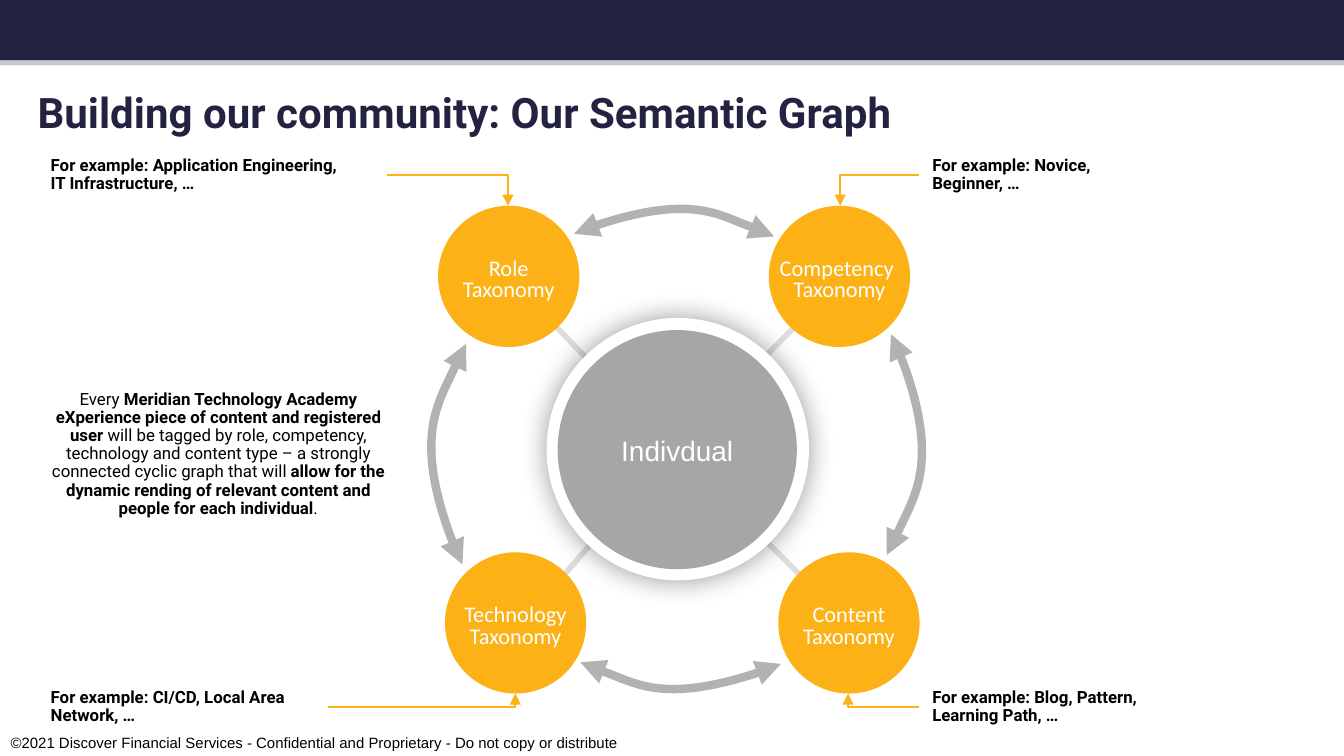
from lxml import etree
from pptx import Presentation
from pptx import util as u
from pptx.dml.color import RGBColor
from pptx.enum import shapes, text
from pptx.oxml import parse_xml
from pptx.oxml.ns import nsdecls, qn

Cm, Pt = u.Cm, u.Pt
COLORS = {
    "navy": "232241", "stripe": "C7C8CF", "amber": "FCB116", "hub": "A6A6A6",
    "spoke": "DDDDDD", "arc": "B2B2B2", "white": "FFFFFF", "black": "000000",
}
CIRCLE = 2.67  # diameter of a taxonomy circle
CALLOUT_HEIGHT = 0.94
HUB_CENTER = (12.81, 8.49)

# Label, left and top of each taxonomy circle
TAXONOMIES = [
    ("Competency \vTaxonomy", 14.53, 3.89),
    ("Technology\nTaxonomy", 8.41, 10.44),
    ("Content\nTaxonomy", 14.71, 10.44),
    ("Role\nTaxonomy", 8.28, 3.89),
]
SPOKE_ENDS = [(9.58, 5.21), (15.98, 5.21), (15.98, 11.73), (9.91, 11.73)]
# Start, second control point and end; the first control point is the start
ARCS = [
    ((10.97, 12.52), (12.73, 13.44), (14.76, 12.55)),
    ((8.81, 6.5), (7.62, 8.41), (8.74, 10.67)),
    ((14.63, 4.47), (12.88, 3.53), (10.85, 4.42)),
    ((16.76, 10.49), (17.96, 8.56), (16.84, 6.32)),
]
# Text, left, top, width, start side and end of the pointer
CALLOUTS = [
    ("For example: Application Engineering,\vIT Infrastructure, …",
     0.71, 2.84, 6.6, "right", (9.6, 3.89)),
    ("For example: CI/CD, Local Area\vNetwork, …",
     0.71, 12.9, 5.49, "right", (9.74, 13.11)),
    ("For example: Blog, Pattern,\vLearning Path, …",
     17.37, 12.9, 4.9, "left", (16.03, 13.11)),
    ("For example: Novice,\vBeginner, …",
     17.37, 2.84, 3.84, "left", (15.88, 3.89)),
]
MESSAGE = [
    ("Every ", False),
    ("Meridian Technology Academy eXperience piece of content and registered user ", True),
    ("will be tagged by role, competency, technology and content type – a strongly "
     "connected cyclic graph that will ", False),
    ("allow for the dynamic rending of relevant content and people for each individual", True),
    (".", False),
]
FOOTER = ("©2021 Discover Financial Services - Confidential and Proprietary"
          " - Do not copy or distribute")


def rgb(name):
    return RGBColor.from_string(COLORS[name])


def style_text(tf, font, size, color, bold=None, align=None, spacing=None):
    for p in tf.paragraphs:
        p.font.name, p.font.size, p.font.bold = font, Pt(size), bold
        p.font.color.rgb = rgb(color)
        p.alignment = align
        p.line_spacing = spacing


def add_shape(s, kind, left, top, width, height, fill):
    sp = s.shapes.add_shape(kind, Cm(left), Cm(top), Cm(width), Cm(height))
    sp.shadow.inherit = False
    sp.fill.solid()
    sp.fill.fore_color.rgb = rgb(fill)
    sp.line.fill.background()
    return sp


def add_circle(s, left, top, size, fill, label="", font="Calibri", points=12):
    sp = add_shape(s, shapes.MSO_SHAPE.OVAL, left, top, size, size, fill)
    if label:
        tf = sp.text_frame
        tf.word_wrap = False
        tf.vertical_anchor = text.MSO_ANCHOR.MIDDLE
        tf.margin_left = tf.margin_right = tf.margin_bottom = 0
        tf.margin_top = Cm(0.15)
        tf.text = label
        style_text(tf, font, points, "white", align=text.PP_ALIGN.CENTER, spacing=0.8)
    return sp


def add_text(s, left, top, width, height, content=""):
    tf = s.shapes.add_textbox(Cm(left), Cm(top), Cm(width), Cm(height)).text_frame
    tf.word_wrap = True
    tf.text = content
    return tf


def set_line(sp, color, width, ends=()):
    sp.line.color.rgb = rgb(color)
    sp.line.width = Pt(width)
    ln = sp.line._get_or_add_ln()
    for end in ends:
        etree.SubElement(ln, qn(f"a:{end}"), type="triangle")


def add_connector(s, start, end, color, width, bent=False):
    kind = shapes.MSO_CONNECTOR.ELBOW if bent else shapes.MSO_CONNECTOR.STRAIGHT
    c = s.shapes.add_connector(kind, *(Cm(v) for v in start + end))
    set_line(c, color, width, ["tailEnd"] if bent else [])
    spPr = c._element.spPr
    etree.SubElement(spPr, qn("a:effectLst"))
    if bent:  # one corner only
        spPr.find(qn("a:prstGeom")).set("prst", "bentConnector2")


def add_arc(s, start, control, end):
    points = [(Cm(x), Cm(y)) for x, y in (start, control, end)]
    builder = s.shapes.build_freeform(*points[0])
    builder.add_line_segments(points, close=False)
    sp = builder.convert_to_shape()
    sp.shadow.inherit = False
    sp.fill.background()
    set_line(sp, "arc", 4.5, ["headEnd", "tailEnd"])
    # Turn the three segments into one cubic curve
    segments = list(sp._element.iter(qn("a:lnTo")))
    outline = segments[0].getparent()
    curve = etree.SubElement(outline, qn("a:cubicBezTo"))
    for segment in segments:
        curve.append(segment[0])
        outline.remove(segment)


def add_hub(s):
    x, y = HUB_CENTER
    ring = add_circle(s, x - 2.48, y - 2.48, 4.96, "white")
    ring._element.spPr.find(qn("a:effectLst")).append(parse_xml(
        f'<a:outerShdw {nsdecls("a")} blurRad="{Pt(15)}" dist="0" algn="ctr" rotWithShape="0">'
        f'<a:srgbClr val="{COLORS["black"]}"><a:alpha val="40000"/></a:srgbClr></a:outerShdw>'))
    add_circle(s, x - 2.27, y - 2.25, 4.52, "hub", "Indivdual", "Arial", 15)


def add_callout(s, content, left, top, width, side, target):
    tf = add_text(s, left, top, width, CALLOUT_HEIGHT, content)
    style_text(tf, "Roboto", 9, "black", bold=True, spacing=0.9)
    x = left + width if side == "right" else left
    add_connector(s, (x, top + CALLOUT_HEIGHT / 2), target, "amber", 1, bent=True)


def add_message(s):
    tf = add_text(s, 0.71, 7.26, 6.83, 3.02)
    p = tf.paragraphs[0]
    for content, bold in MESSAGE:
        r = p.add_run()
        r.text = content
        r.font.bold = bold
    style_text(tf, "Roboto", 9, "black", align=text.PP_ALIGN.CENTER, spacing=0.9)


def main():
    prs = Presentation()
    prs.slide_width, prs.slide_height = Cm(25.4), Cm(14.29)
    s = prs.slides.add_slide(prs.slide_layouts[6])

    # Top band and title
    for height, color in ((1.24, "stripe"), (1.14, "navy")):
        add_shape(s, shapes.MSO_SHAPE.RECTANGLE, 0, 0, 25.4, height, color)
    tf = add_text(s, 0.71, 1.24, 24, 1.63, "Building our community: Our Semantic Graph")
    tf.margin_left = tf.margin_right = tf.margin_bottom = 0
    tf.margin_top = Cm(0.25)
    tf.vertical_anchor = text.MSO_ANCHOR.MIDDLE
    style_text(tf, "Roboto", 22.5, "navy", bold=True, spacing=0.85)

    # Semantic graph
    for end in SPOKE_ENDS:
        add_connector(s, (12.73, 8.48), end, "spoke", 3)
    add_hub(s)
    for arc in ARCS:
        add_arc(s, *arc)
    for label, left, top in TAXONOMIES:
        add_circle(s, left, top, CIRCLE, "amber", label)

    # Examples, message and footer
    for callout in CALLOUTS:
        add_callout(s, *callout)
    add_message(s)
    style_text(add_text(s, -0.05, 13.74, 12.7, 0.6, FOOTER), "Arial", 8, "black")

    prs.save("out.pptx")


if __name__ == "__main__":
    main()
